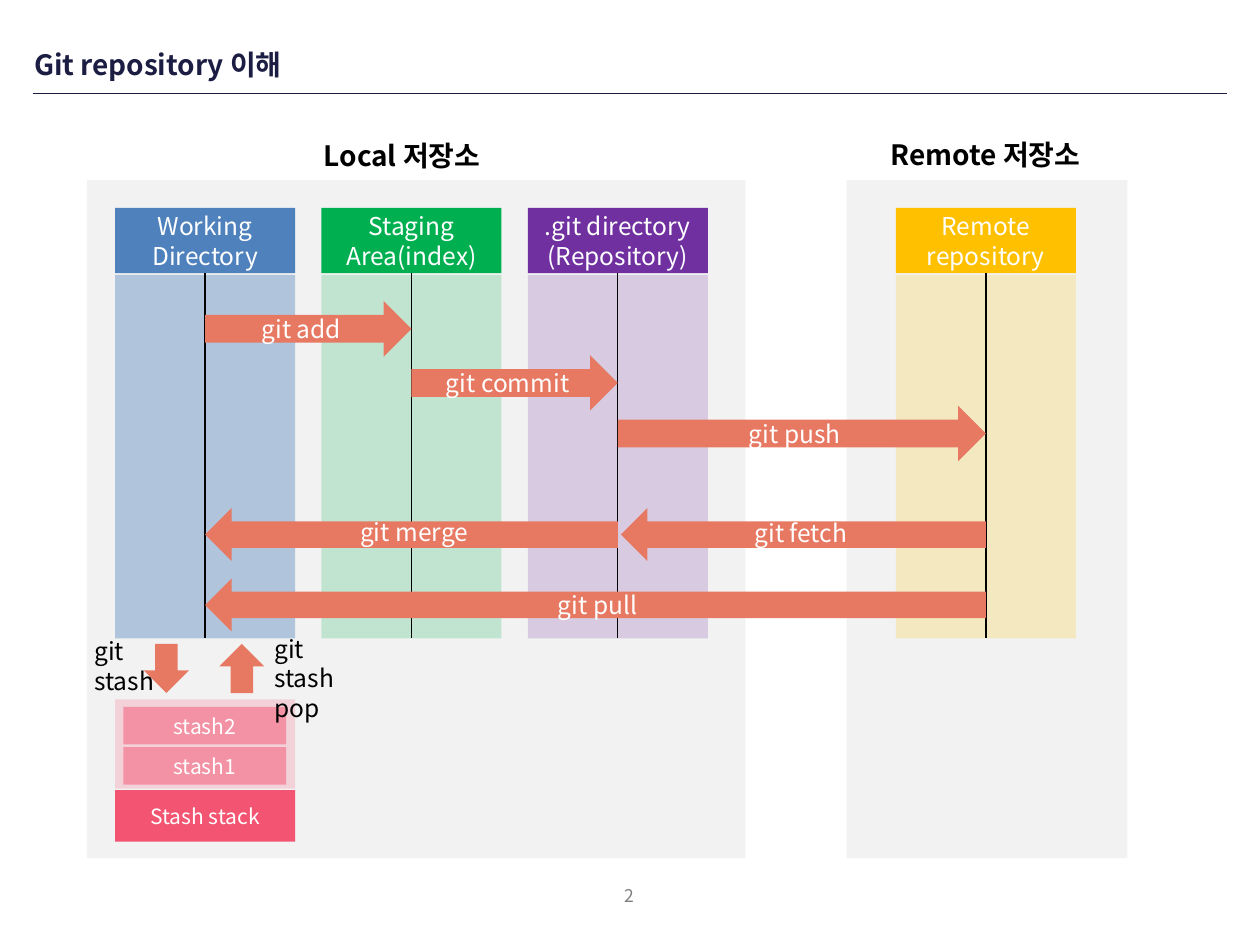
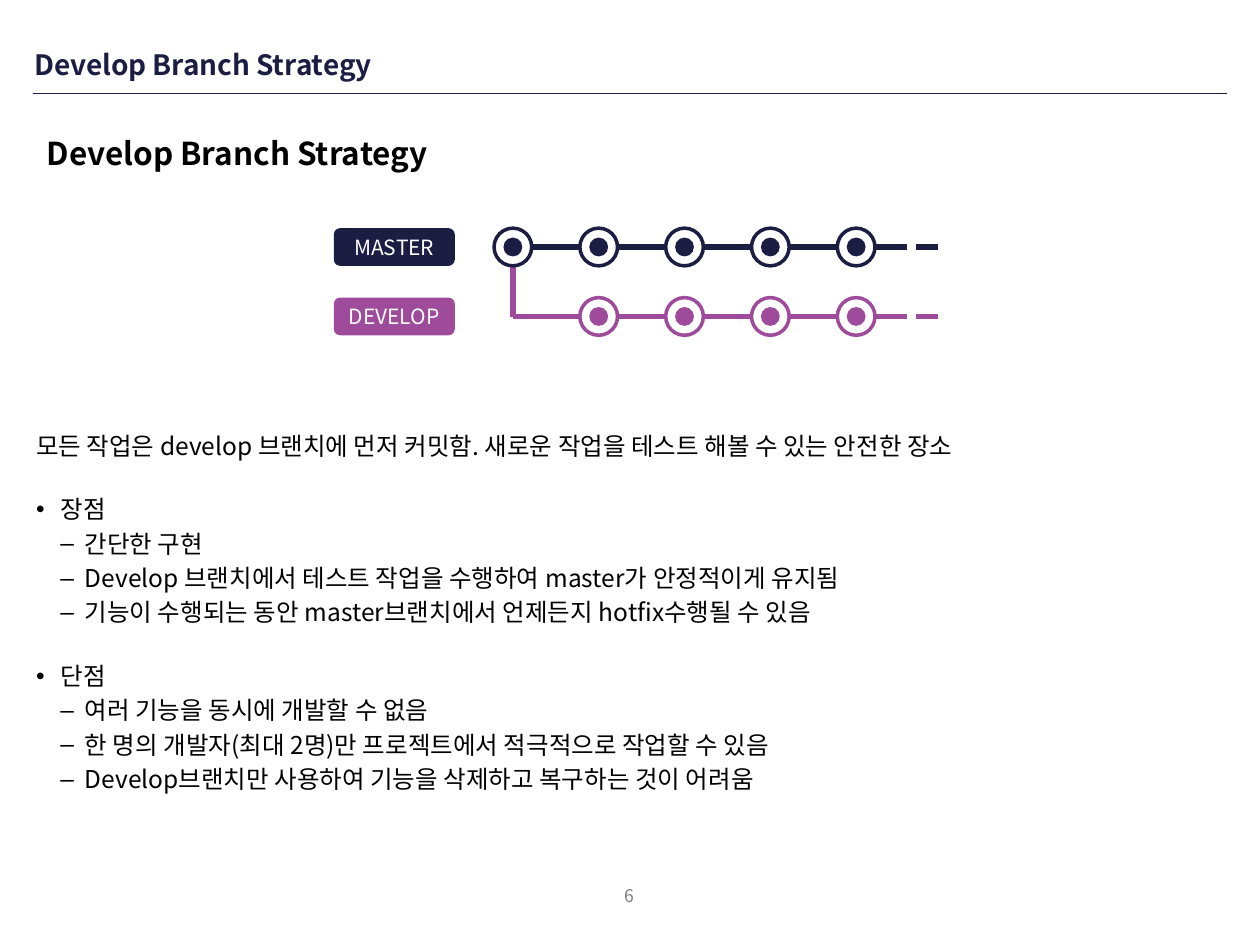
from lxml import etree
from pptx import Presentation
from pptx import util as u
from pptx.dml import color as c
from pptx.enum import shapes, text
from pptx.oxml import ns

FONT = "Noto Sans CJK KR"
NAVY, PURPLE, CORAL, PINK = "1C1D43", "9E4B9C", "E77963", "F25472"
BLACK, WHITE, GREY, PANEL = "000000", "FFFFFF", "808080", "F2F2F2"
KIND = shapes.MSO_SHAPE
LEFT, CENTER = text.PP_ALIGN.LEFT, text.PP_ALIGN.CENTER


def block(slide, kind, at, fill="", words="", size=14, ink=WHITE,
          bold=False, align=CENTER, alpha=100):
    """Add a preset shape, or a text box when kind is None."""
    box = [u.Cm(n) for n in at]
    if kind is None:
        item = slide.shapes.add_textbox(*box)
    else:
        item = slide.shapes.add_shape(kind, *box)
        item.shadow.inherit = False
        item.line.fill.background()
        item.fill.solid()
        item.fill.fore_color.rgb = c.RGBColor.from_string(fill)
        if alpha < 100:
            tint = item._element.spPr.find(".//" + ns.qn("a:srgbClr"))
            etree.SubElement(tint, ns.qn("a:alpha"), val=str(alpha * 1000))
    frame = item.text_frame
    frame.word_wrap = True
    para = frame.paragraphs[0]
    para.alignment = align
    for number, part in enumerate(words.split("\n") if words else []):
        if number:
            para.add_line_break()
        run = para.add_run()
        run.text = part
        run.font.name, run.font.size, run.font.bold = FONT, u.Pt(size), bold
        run.font.color.rgb = c.RGBColor.from_string(ink)
        etree.SubElement(run._r.get_or_add_rPr(), ns.qn("a:ea"), typeface=FONT)
    return item


def rule(slide, x1, y1, x2, y2, ink, width):
    """Add a straight line."""
    item = slide.shapes.add_connector(
        shapes.MSO_CONNECTOR.STRAIGHT, *[u.Cm(n) for n in (x1, y1, x2, y2)])
    item.line.color.rgb = c.RGBColor.from_string(ink)
    item.line.width = u.Pt(width)
    etree.SubElement(item._element.spPr, ns.qn("a:effectLst"))
    return item


deck = Presentation()
deck.slide_width, deck.slide_height = u.Cm(25.4), u.Cm(19.05)

# Shared frame: rule, page number and title
pages = []
for heading, page in [("Git repository 이해", "2"),
                      ("Develop Branch Strategy", "6")]:
    slide = deck.slides.add_slide(deck.slide_layouts[6])
    rule(slide, 0.66, 1.88, 24.74, 1.88, NAVY, 0.75)
    footer = block(slide, None, (12.22, 17.75, 0.94, 0.61), words=page,
                   size=10, ink=GREY).text_frame
    footer.margin_left = footer.margin_right = u.Cm(0.2)
    footer.margin_top = footer.margin_bottom = u.Cm(0.1)
    title = block(slide, None, (0.69, 0.74, 21.89, 1.12), words=heading,
                  size=16, ink=NAVY, bold=True, align=LEFT).text_frame
    title.margin_left = title.margin_right = 0
    title.margin_top = title.margin_bottom = 0
    title.vertical_anchor = text.MSO_ANCHOR.MIDDLE
    pages.append(slide)
repository, strategy = pages

# Local and remote panels
for name, x, width, name_x, name_y in [
        ("Local 저장소", 1.75, 13.28, 4.32, 2.67),
        ("Remote 저장소", 17.07, 5.66, 16.08, 2.64)]:
    block(repository, KIND.RECTANGLE, (x, 3.63, width, 13.67), PANEL)
    block(repository, None, (name_x, name_y, 7.57, 0.94), words=name,
          size=16, ink=BLACK, bold=True)

# Storage areas with their lifelines
AREA_W = 3.63
lifelines = []
for name, x, hue, alpha in [
        ("Working\nDirectory", 2.32, "4F81BD", 40),
        ("Staging\nArea(index)", 6.48, "00B050", 20),
        (".git directory\n(Repository)", 10.64, "7030A0", 20),
        ("Remote\nrepository", 18.06, "FFC000", 20)]:
    area = block(repository, KIND.RECTANGLE, (x, 5.54, AREA_W, 7.33), hue,
                 alpha=alpha)
    header = block(repository, KIND.RECTANGLE, (x, 4.19, AREA_W, 1.32), hue,
                   name)
    middle = x + AREA_W / 2
    lifeline = rule(repository, middle, 5.51, middle, 12.87, BLACK, 0.75)
    lifeline.begin_connect(header, 2)
    lifeline.end_connect(area, 2)
    lifelines.append(middle)
working, staging, local, remote = lifelines

# Commands that move work towards the remote
for command, start, end, y in [("git add", working, staging, 6.07),
                               ("git commit", staging, local, 7.16),
                               ("git push", local, remote, 8.18)]:
    block(repository, KIND.RIGHT_ARROW, (start, y, end - start, 1.12), CORAL,
          command)

# Commands that bring work back
for command, start, end, y, label_x, label_y, label_w, align in [
        ("git fetch", local + 0.06, remote, 10.24, 14.96, 10.31, 2.54, LEFT),
        ("git merge", working, local, 10.24, 7.01, 10.29, 3.1, LEFT),
        ("git pull", working, remote, 11.66, 9.32, 11.76, 5.46, CENTER)]:
    arrow = block(repository, KIND.RIGHT_ARROW, (start, y, end - start, 1.07),
                  CORAL)
    arrow.rotation = 180
    block(repository, None, (label_x, label_y, label_w, 0.84), words=command,
          align=align)

# Stash stack
block(repository, KIND.RECTANGLE, (2.32, 14.1, AREA_W, 1.8), PINK, alpha=20)
block(repository, KIND.RECTANGLE, (2.32, 15.93, AREA_W, 1.04), PINK,
      "Stash stack", 12)
for entry, y in [("stash1", 15.06), ("stash2", 14.25)]:
    block(repository, KIND.RECTANGLE, (2.49, y, 3.28, 0.76), PINK, entry, 12,
          alpha=50)
for command, x, turn, label_x, label_y, label_w in [
        ("git\nstash", 2.9, 0, 1.65, 12.7, 1.83),
        ("git\nstash pop", 4.42, 180, 5.28, 12.65, 2.72)]:
    arrow = block(repository, KIND.DOWN_ARROW, (x, 12.98, 0.91, 0.99), CORAL)
    arrow.rotation = turn
    block(repository, None, (label_x, label_y, label_w, 1.45), words=command,
          ink=BLACK, align=LEFT)

# Strategy text: level, space before in points, wording
points = [
    (0, 2.8, "모든 작업은 develop 브랜치에 먼저 커밋함. 새로운 작업을 테스트 해볼 수 있는 안전한 장소"),
    (1, 19.5, "장점"),
    (2, 2.8, "간단한 구현"),
    (2, 2.8, "Develop 브랜치에서 테스트 작업을 수행하여 master가 안정적이게 유지됨"),
    (2, 2.8, "기능이 수행되는 동안 master브랜치에서 언제든지 hotfix수행될 수 있음"),
    (1, 19.5, "단점"),
    (2, 2.8, "여러 기능을 동시에 개발할 수 없음"),
    (2, 2.8, "한 명의 개발자(최대 2명)만 프로젝트에서 적극적으로 작업할 수 있음"),
    (2, 2.8, "Develop브랜치만 사용하여 기능을 삭제하고 복구하는 것이 어려움"),
]
summary = block(strategy, None, (0.48, 8.56, 24, 9.75)).text_frame
for number, (level, gap, wording) in enumerate(points):
    para = summary.add_paragraph() if number else summary.paragraphs[0]
    para.alignment = LEFT
    para.space_before = u.Pt(gap)
    if level:
        para.level = level - 1
        props = para._p.get_or_add_pPr()
        props.set("marL", str(u.Cm(0.49 * level)))
        props.set("indent", str(u.Cm(-0.49)))
        etree.SubElement(props, ns.qn("a:buFont"), typeface="Arial")
        etree.SubElement(props, ns.qn("a:buChar"), char=" •–"[level])
    run = para.add_run()
    run.text = wording
    run.font.name, run.font.size = FONT, u.Pt(14)
    run.font.color.rgb = c.RGBColor.from_string(BLACK)
    etree.SubElement(run._r.get_or_add_rPr(), ns.qn("a:ea"), typeface=FONT)
block(strategy, None, (0.69, 2.57, 9.5, 1.02),
      words="Develop Branch Strategy", size=18, ink=BLACK, bold=True,
      align=LEFT)

# Branch graph
FIRST_X, STEP, RING, DOT = 9.96, 1.73, 0.76, 0.38
fork_x = FIRST_X + RING / 2
rule(strategy, fork_x, 6.4, fork_x, 4.98, PURPLE, 3)
for branch, hue, y, start, first in [("MASTER", NAVY, 4.98, FIRST_X, 0),
                                     ("DEVELOP", PURPLE, 6.38, fork_x, 1)]:
    rule(strategy, start, y, 18.29, y, hue, 3)
    rule(strategy, 18.47, y, 18.9, y, hue, 3)
    block(strategy, KIND.ROUNDED_RECTANGLE, (6.73, y - RING / 2, 2.44, RING),
          hue, branch, 12)
    for commit in range(first, 5):
        x = fork_x + commit * STEP
        ring = block(strategy, KIND.OVAL,
                     (x - RING / 2, y - RING / 2, RING, RING), WHITE)
        ring.line.color.rgb = c.RGBColor.from_string(hue)
        ring.line.width = u.Pt(2)
        block(strategy, KIND.OVAL, (x - DOT / 2, y - DOT / 2, DOT, DOT), hue)

deck.save("out.pptx")
